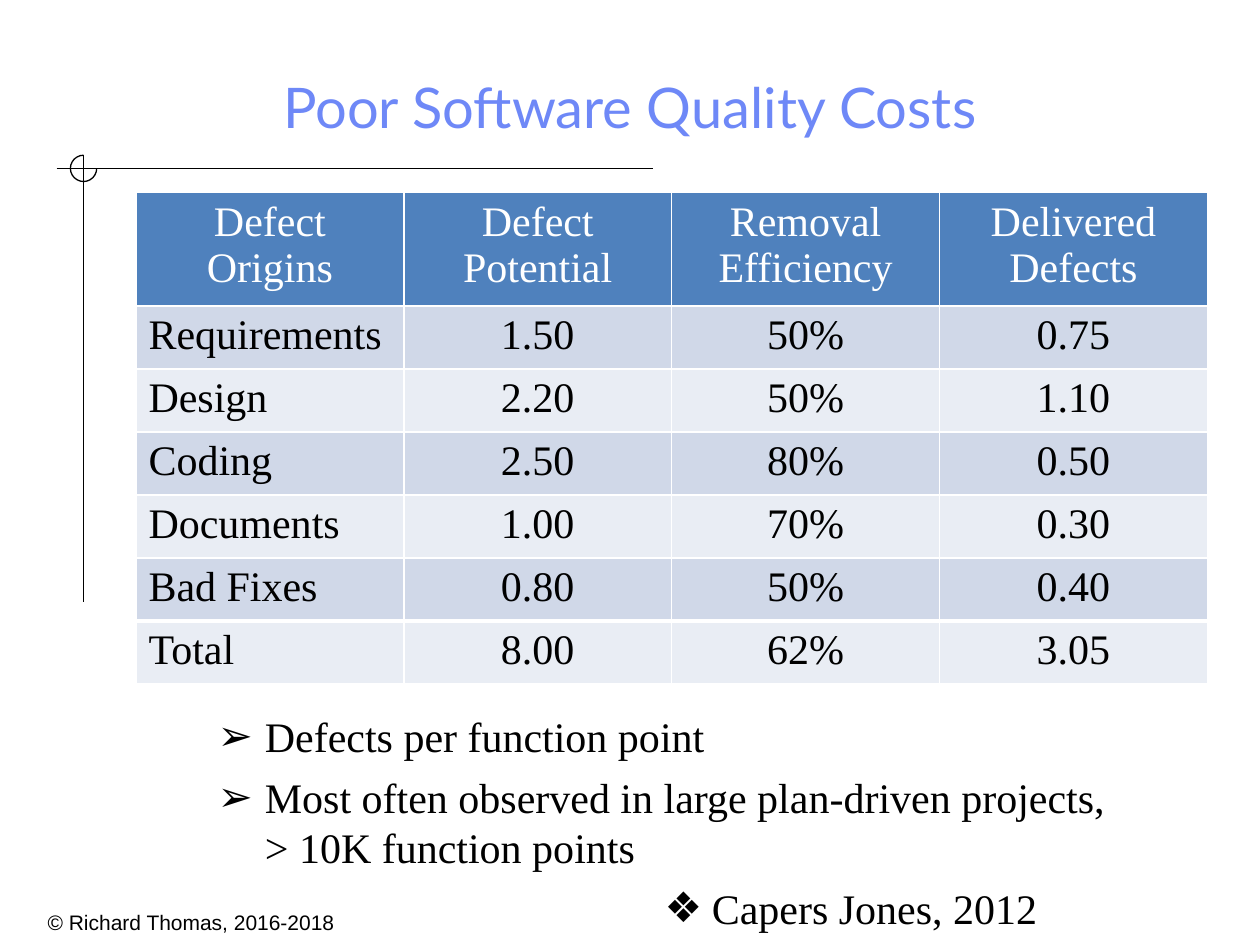
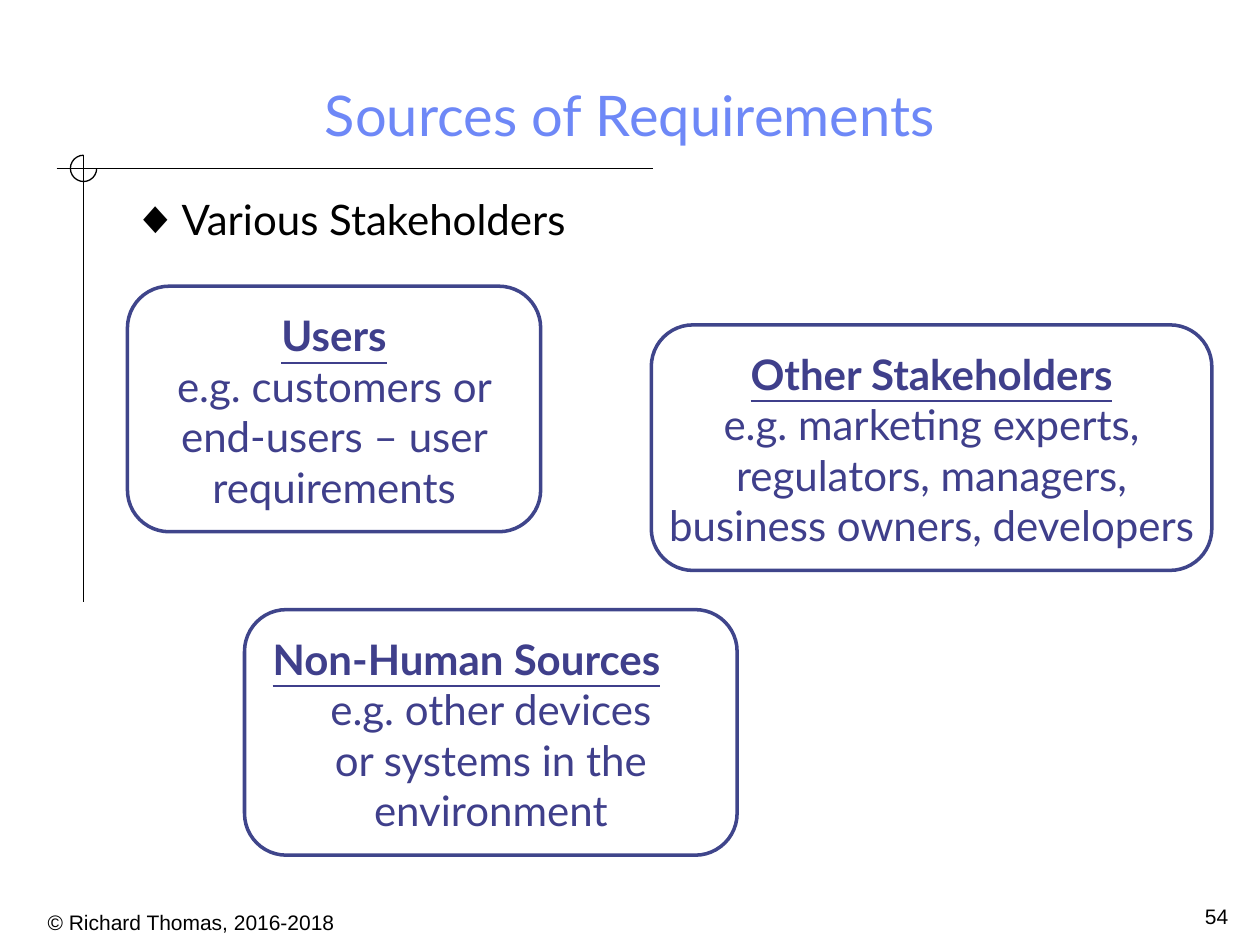
from dataclasses import dataclass

from lxml import etree
from pptx import Presentation
from pptx.dml.color import RGBColor
from pptx.enum.shapes import MSO_CONNECTOR, MSO_SHAPE
from pptx.enum.text import MSO_ANCHOR, PP_ALIGN
from pptx.oxml.ns import qn
from pptx.util import Cm, Pt

LEFT, CENTER, RIGHT = PP_ALIGN.LEFT, PP_ALIGN.CENTER, PP_ALIGN.RIGHT
TOP = MSO_ANCHOR.TOP
STRAIGHT = MSO_CONNECTOR.STRAIGHT
ARC, ROUNDED = MSO_SHAPE.ARC, MSO_SHAPE.ROUNDED_RECTANGLE

BLACK, WHITE = "000000", "FFFFFF"
TITLE_BLUE, BOX_LINE, BOX_TEXT = "6E88F7", "3F458B", "3F3F8B"
HEADER_FILL, BAND_FILLS = "4F81BD", ("D0D8E8", "E9EDF4")
SANS, SERIF, SMALL = "Lato", "Times New Roman", "Arial"
HAIRLINE = 0.75
FOOTER_TOP = 18.21
ARC_FULL_TURN = 216  # arc adjustments count 60000ths of a degree, in 100000ths


@dataclass(frozen=True)
class Area:
    """A rectangle in centimetres."""
    left: float
    top: float
    width: float
    height: float

    def lengths(self) -> tuple:
        return Cm(self.left), Cm(self.top), Cm(self.width), Cm(self.height)


@dataclass(frozen=True)
class TextStyle:
    font: str
    size: float
    color: str
    bold: bool = False
    underline: bool = False


@dataclass(frozen=True)
class Bullet:
    """A bulleted line; text_left and hanging are in centimetres."""
    text: str
    symbol: str
    text_left: float
    hanging: float
    space_after: float = 0
    symbol_percent: int = 100


@dataclass(frozen=True)
class StakeholderBox:
    area: Area
    heading: str
    examples: str
    side_margin: float
    heading_align: PP_ALIGN = CENTER
    heading_indent: float = 0


TITLE_STYLE = TextStyle(SANS, 32, TITLE_BLUE)
FOOTER_STYLE = TextStyle(SMALL, 12, BLACK)
SERIF_BODY = TextStyle(SERIF, 24, BLACK)
SERIF_HEADER = TextStyle(SERIF, 24, WHITE)
SANS_BODY = TextStyle(SANS, 24, BLACK)
BOX_BODY = TextStyle(SANS, 24, BOX_TEXT)
BOX_HEADING = TextStyle(SANS, 24, BOX_TEXT, bold=True, underline=True)

DEFECT_ROWS = [
    ("Defect Origins", "Defect Potential", "Removal Efficiency", "Delivered Defects"),
    ("Requirements", "1.50", "50%", "0.75"),
    ("Design", "2.20", "50%", "1.10"),
    ("Coding", "2.50", "80%", "0.50"),
    ("Documents", "1.00", "70%", "0.30"),
    ("Bad Fixes", "0.80", "50%", "0.40"),
    ("Total", "8.00", "62%", "3.05"),
]
COLUMN_WIDTH, HEADER_HEIGHT, ROW_HEIGHT = 5.4, 2.28, 1.27

DEFECT_NOTES = [
    Bullet("Defects per function point", "➢", 0.95, 0.95, 6),
    Bullet("Most often observed in large plan-driven projects, > 10K function points",
           "➢", 0.95, 0.95, 6),
    Bullet("Capers Jones, 2012", "❖", 9.96, 0.95, 6),
]

STAKEHOLDER_BOXES = [
    StakeholderBox(Area(2.57, 5.77, 8.33, 4.95), "Users",
                   "e.g. customers or end-users – user requirements", 0.6),
    StakeholderBox(Area(13.13, 6.55, 11.3, 4.95), "Other Stakeholders",
                   "e.g. marketing experts, regulators, managers, "
                   "business owners, developers", 0),
    StakeholderBox(Area(4.93, 12.29, 9.93, 4.95), "Non-Human Sources",
                   "e.g. other devices\vor systems in the environment", 0.04, LEFT, 0.28),
]


def rgb(color: str) -> RGBColor:
    return RGBColor.from_string(color)


def write(paragraph, text: str, style: TextStyle, align: PP_ALIGN = LEFT) -> None:
    paragraph.text = text
    paragraph.alignment = align
    for run in paragraph.runs:
        font = run.font
        font.name, font.size = style.font, Pt(style.size)
        font.bold, font.underline = style.bold, style.underline
        font.color.rgb = rgb(style.color)


def add_text_frame(slide, area: Area, inset: bool = False):
    """Add a wrapping text box, with the usual margins only if inset."""
    text_frame = slide.shapes.add_textbox(*area.lengths()).text_frame
    text_frame.word_wrap = True
    if not inset:
        set_margins(text_frame, 0, 0)
    return text_frame


def set_margins(text_frame, side: float, top: float) -> None:
    text_frame.margin_left = text_frame.margin_right = Cm(side)
    text_frame.margin_top, text_frame.margin_bottom = Cm(top), 0


def add_line(slide, left: float, top: float, right: float, bottom: float) -> None:
    line = slide.shapes.add_connector(STRAIGHT, Cm(left), Cm(top), Cm(right), Cm(bottom))
    line.line.color.rgb = rgb(BLACK)
    line.line.width = Pt(HAIRLINE)
    etree.SubElement(line._element.spPr, qn("a:effectLst"))


def add_outline(slide, kind: MSO_SHAPE, area: Area, color: str, width: float):
    shape = slide.shapes.add_shape(kind, *area.lengths())
    shape.shadow.inherit = False
    shape.fill.background()
    shape.line.color.rgb = rgb(color)
    shape.line.width = Pt(width)
    return shape


def add_base_slide(presentation, title: str, title_top: float):
    """Add a slide with the crosshair rules, copyright line and title."""
    slide = presentation.slides.add_slide(presentation.slide_layouts[6])
    add_line(slide, 1.14, 3.4, 13.16, 3.4)
    add_line(slide, 1.68, 3.12, 1.68, 12.14)
    arc = add_outline(slide, ARC, Area(1.42, 3.13, 0.53, 0.53), BLACK, HAIRLINE)
    arc.adjustments[0] = 0
    arc.adjustments[1] = ARC_FULL_TURN * 0.75
    footer = add_text_frame(slide, Area(0.71, FOOTER_TOP, 6.4, 0.66), inset=True)
    write(footer.paragraphs[0], "© Richard Thomas, 2016-2018", FOOTER_STYLE)
    heading = add_text_frame(slide, Area(0.33, title_top, 24.74, 1.37))
    write(heading.paragraphs[0], title, TITLE_STYLE, CENTER)
    return slide


def add_bullets(text_frame, bullets: list[Bullet], style: TextStyle) -> None:
    for index, bullet in enumerate(bullets):
        paragraph = text_frame.add_paragraph() if index else text_frame.paragraphs[0]
        properties = paragraph._p.get_or_add_pPr()
        properties.set("marL", str(Cm(bullet.text_left)))
        properties.set("indent", str(-Cm(bullet.hanging)))
        size = etree.SubElement(properties, qn("a:buSzPct"))
        size.set("val", str(bullet.symbol_percent * 1000))
        etree.SubElement(properties, qn("a:buFont")).set("typeface", SMALL)
        etree.SubElement(properties, qn("a:buChar")).set("char", bullet.symbol)
        paragraph.space_after = Pt(bullet.space_after)
        write(paragraph, bullet.text, style)


def set_borders(cell, top: float, bottom: float) -> None:
    """Draw white cell borders; side borders are one point wide."""
    properties = cell._tc.get_or_add_tcPr()
    for side, width in (("L", 1), ("R", 1), ("T", top), ("B", bottom)):
        border = etree.SubElement(properties, qn(f"a:ln{side}"), w=str(Pt(width)))
        fill = etree.SubElement(border, qn("a:solidFill"))
        etree.SubElement(fill, qn("a:srgbClr")).set("val", WHITE)


def add_defect_table(slide) -> None:
    row_count, column_count = len(DEFECT_ROWS), len(DEFECT_ROWS[0])
    total_row = row_count - 1
    area = Area(2.74, 3.88, COLUMN_WIDTH * column_count,
                HEADER_HEIGHT + ROW_HEIGHT * total_row)
    table = slide.shapes.add_table(row_count, column_count, *area.lengths()).table
    for column in table.columns:
        column.width = Cm(COLUMN_WIDTH)
    for row_index, values in enumerate(DEFECT_ROWS):
        is_header = row_index == 0
        table.rows[row_index].height = Cm(HEADER_HEIGHT if is_header else ROW_HEIGHT)
        fill = HEADER_FILL if is_header else BAND_FILLS[(row_index - 1) % 2]
        style = SERIF_HEADER if is_header else SERIF_BODY
        for column_index, value in enumerate(values):
            cell = table.cell(row_index, column_index)
            set_borders(cell, 3 if row_index == total_row else 1,
                        3 if row_index == total_row - 1 else 1)
            cell.fill.solid()
            cell.fill.fore_color.rgb = rgb(fill)
            align = CENTER if is_header or column_index else LEFT
            write(cell.text_frame.paragraphs[0], value, style, align)


def add_stakeholder_box(slide, box: StakeholderBox) -> None:
    shape = add_outline(slide, ROUNDED, box.area, BOX_LINE, 2)
    shape.adjustments[0] = 0.17
    text_frame = shape.text_frame
    text_frame.word_wrap = True
    text_frame.vertical_anchor = TOP
    set_margins(text_frame, box.side_margin, 0.23)
    heading = text_frame.paragraphs[0]
    heading._p.get_or_add_pPr().set("marL", str(Cm(box.heading_indent)))
    write(heading, box.heading, BOX_HEADING, box.heading_align)
    write(text_frame.add_paragraph(), box.examples, BOX_BODY, CENTER)


def build_quality_costs(presentation) -> None:
    slide = add_base_slide(presentation, "Poor Software Quality Costs", 1.47)
    add_defect_table(slide)
    notes = add_text_frame(slide, Area(4.14, 14.2, 18.8, 4.78), inset=True)
    add_bullets(notes, DEFECT_NOTES, SERIF_BODY)


def build_requirement_sources(presentation) -> None:
    slide = add_base_slide(presentation, "Sources of Requirements", 1.63)
    intro = add_text_frame(slide, Area(2.62, 3.91, 9.04, 1.02))
    add_bullets(intro, [Bullet("Various Stakeholders", "◆", 1.04, 0.99,
                               symbol_percent=110)], SANS_BODY)
    for box in STAKEHOLDER_BOXES:
        add_stakeholder_box(slide, box)
    page_number = add_text_frame(slide, Area(22.91, FOOTER_TOP, 1.85, 0.51))
    write(page_number.paragraphs[0], "54", FOOTER_STYLE, RIGHT)


def main() -> None:
    presentation = Presentation()
    presentation.slide_width, presentation.slide_height = Cm(25.4), Cm(19.05)
    build_quality_costs(presentation)
    build_requirement_sources(presentation)
    presentation.save("out.pptx")


if __name__ == "__main__":
    main()
